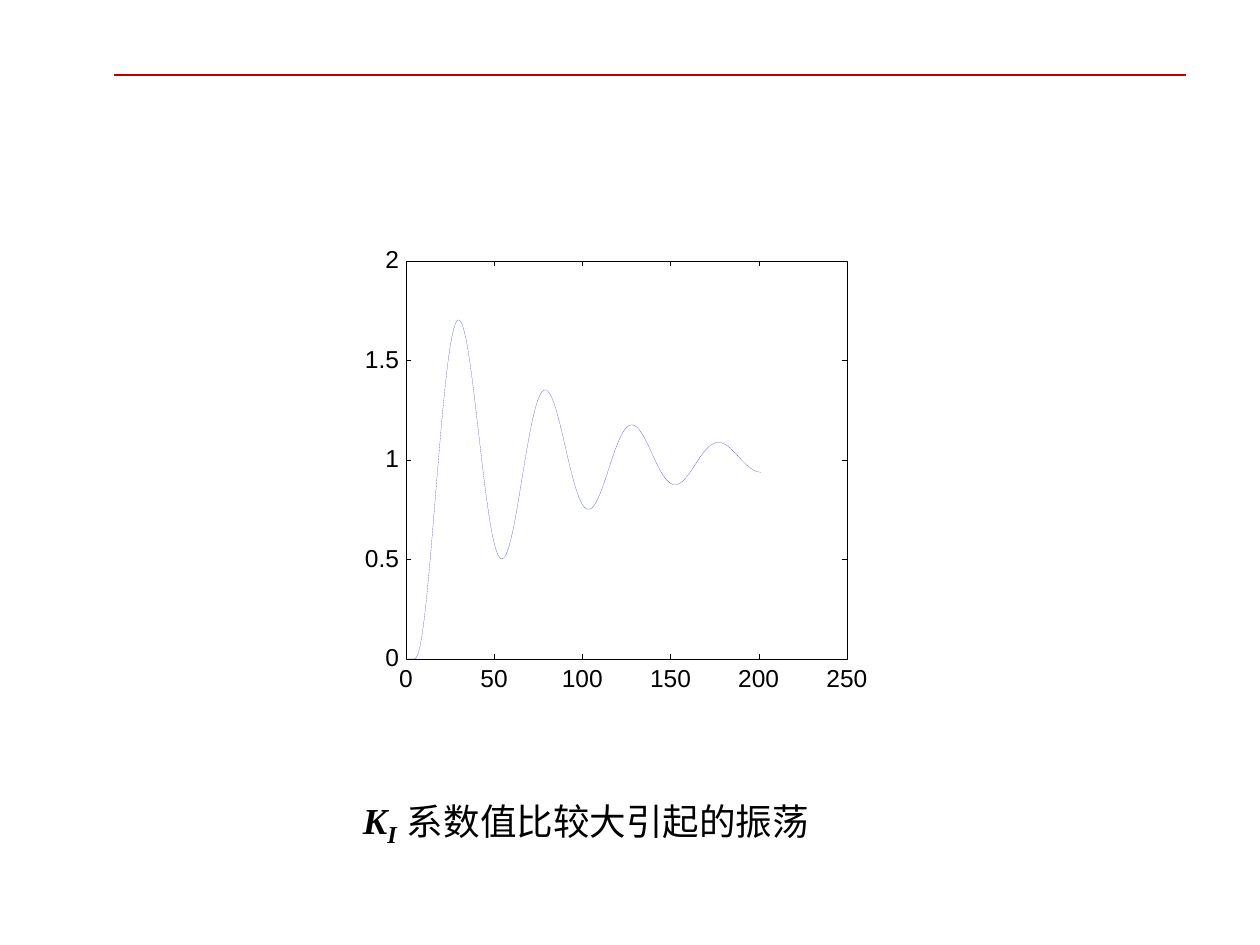
import math

import pptx
import pptx.dml.color
import pptx.enum.shapes
import pptx.enum.text
import pptx.oxml.ns
import pptx.util
from lxml import etree

EMU_PER_PX = 914400 / 126
BLACK = pptx.dml.color.RGBColor(0x00, 0x00, 0x00)
WHITE = pptx.dml.color.RGBColor(0xFF, 0xFF, 0xFF)
RED = pptx.dml.color.RGBColor(0xC0, 0x00, 0x00)
BLUE = pptx.dml.color.RGBColor(0x00, 0x00, 0xFF)
LEFT = pptx.enum.text.PP_ALIGN.LEFT
CENTER = pptx.enum.text.PP_ALIGN.CENTER
RIGHT = pptx.enum.text.PP_ALIGN.RIGHT


def px(length):
    return pptx.util.Emu(round(length * EMU_PER_PX))


class SlideWriter:
    """Holds the slide and its style; one method per kind of element."""

    font = "Arial"
    label_size = 14
    axis_width = 0.16
    curve_width = 0.06

    def __init__(self, slide):
        self.shapes = slide.shapes

    def line(self, start, end, color=BLACK, width=axis_width):
        connector = self.shapes.add_connector(
            pptx.enum.shapes.MSO_CONNECTOR.STRAIGHT,
            *map(px, start), *map(px, end))
        connector.line.color.rgb = color
        connector.line.width = pptx.util.Pt(width)
        properties = connector._element.spPr
        etree.SubElement(properties, pptx.oxml.ns.qn("a:effectLst"))

    def frame(self, left, top, width, height):
        rectangle = self.shapes.add_shape(
            pptx.enum.shapes.MSO_SHAPE.RECTANGLE,
            px(left), px(top), px(width), px(height))
        rectangle.shadow.inherit = False
        rectangle.fill.solid()
        rectangle.fill.fore_color.rgb = WHITE
        rectangle.line.color.rgb = BLACK
        rectangle.line.width = pptx.util.Pt(self.axis_width)

    def curve(self, points):
        corners = [(px(x), px(y)) for x, y in points]
        builder = self.shapes.build_freeform(*corners[0])
        builder.add_line_segments(corners[1:], close=False)
        outline = builder.convert_to_shape()
        outline.shadow.inherit = False
        outline.fill.background()
        outline.line.color.rgb = BLUE
        outline.line.width = pptx.util.Pt(self.curve_width)

    def text(self, left, top, width, height, align, spacing, before):
        box = self.shapes.add_textbox(px(left), px(top), px(width), px(height))
        frame = box.text_frame
        frame.word_wrap = True
        frame.margin_left = frame.margin_right = 0
        frame.margin_top = frame.margin_bottom = 0
        paragraph = frame.paragraphs[0]
        paragraph.alignment = align
        paragraph.line_spacing = pptx.util.Pt(spacing)
        paragraph.space_before = pptx.util.Pt(before)
        return paragraph

    def run(self, paragraph, words, size, font=font, strong=False, baseline=0):
        run = paragraph.add_run()
        run.text = words
        run.font.name = font
        run.font.size = pptx.util.Pt(size)
        run.font.color.rgb = BLACK
        run.font.bold = run.font.italic = strong
        if baseline:
            run.font._element.set("baseline", str(baseline * 1000))

    def label(self, words, left, top, width, align):
        paragraph = self.text(left, top, width, 28, align, 14.8, 0.7)
        self.run(paragraph, words, self.label_size)


# Plot area and scales
PLOT_LEFT, PLOT_TOP, PLOT_WIDTH, PLOT_HEIGHT = 406, 261, 441, 398
PLOT_RIGHT, PLOT_BOTTOM = PLOT_LEFT + PLOT_WIDTH, PLOT_TOP + PLOT_HEIGHT
TIME_MAX, RESPONSE_MAX = 250, 2
TICK = 5


def time_x(time):
    return PLOT_LEFT + PLOT_WIDTH * time / TIME_MAX


def response_y(response):
    return PLOT_BOTTOM - PLOT_HEIGHT * response / RESPONSE_MAX


def step_response(time, delay=6, peak_time=30.7, period=49.1, overshoot=0.7):
    """Oscillation around 1 that halves its amplitude every period."""
    if time < delay:
        return 0
    cycles = (time - peak_time) / period
    return 1 + overshoot * 0.5 ** cycles * math.cos(2 * math.pi * cycles)


def main():
    deck = pptx.Presentation()
    deck.slide_width, deck.slide_height = px(1260), px(945)
    writer = SlideWriter(deck.slides.add_slide(deck.slide_layouts[6]))

    # Plot frame
    writer.frame(PLOT_LEFT, PLOT_TOP, PLOT_WIDTH, PLOT_HEIGHT)

    # Time axis: ticks at bottom and top, labels below
    for time in range(0, TIME_MAX + 1, 50):
        x = time_x(time)
        if 0 < time < TIME_MAX:
            writer.line((x, PLOT_BOTTOM - TICK), (x, PLOT_BOTTOM))
            writer.line((x, PLOT_TOP), (x, PLOT_TOP + TICK))
        writer.label(str(time), x - 25, 667, 50, CENTER)

    # Response axis: ticks at left and right, labels on the left
    for response in (0, 0.5, 1, 1.5, 2):
        y = response_y(response)
        if 0 < response < RESPONSE_MAX:
            writer.line((PLOT_LEFT, y), (PLOT_LEFT + TICK, y))
            writer.line((PLOT_RIGHT - TICK, y), (PLOT_RIGHT, y))
        writer.label(str(response), 358, y - 13, 41, RIGHT)

    # Response curve
    writer.curve([(time_x(time), response_y(step_response(time)))
                  for time in range(1, 202)])

    # Caption
    caption = writer.text(363, 797, 518, 55, LEFT, 31.2, 1.6)
    writer.run(caption, "K", 36, "Times New Roman", strong=True, baseline=7)
    writer.run(caption, "I", 24, "Times New Roman", strong=True, baseline=-11)
    writer.run(caption, " 系数值比较大引起的振荡", 36, baseline=6)

    # Header rule
    writer.line((114, 75), (1186, 75), RED, 1.5)

    deck.save("out.pptx")


if __name__ == "__main__":
    main()
